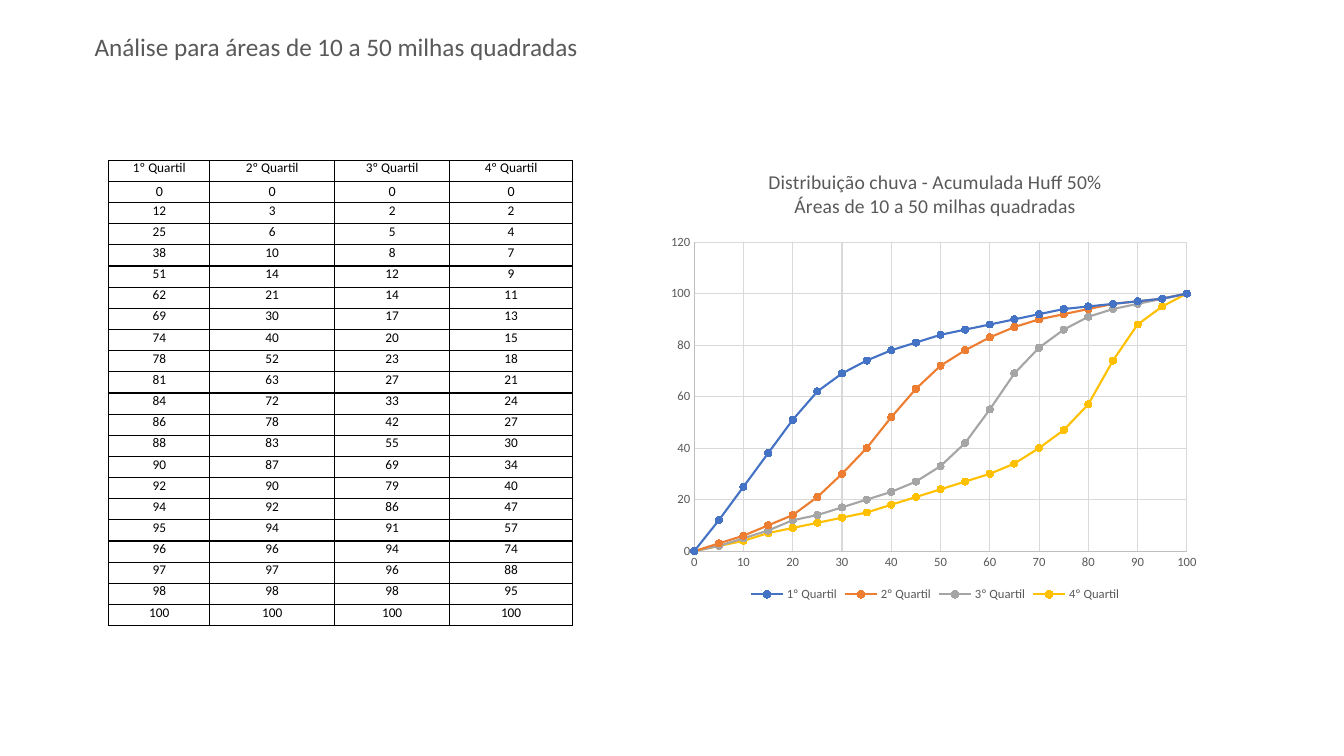
from lxml.etree import SubElement
from pptx import Presentation
from pptx.chart.data import XyChartData
from pptx.dml.color import RGBColor
from pptx.enum.chart import XL_CHART_TYPE, XL_LEGEND_POSITION, XL_MARKER_STYLE, XL_TICK_MARK
from pptx.enum.text import MSO_ANCHOR, MSO_AUTO_SIZE, PP_ALIGN
from pptx.oxml import parse_xml
from pptx.oxml.ns import nsdecls, qn
from pptx.util import Inches, Pt

BLACK = RGBColor(0x00, 0x00, 0x00)
GRAY = RGBColor(0x59, 0x59, 0x59)
GRID = RGBColor(0xD9, 0xD9, 0xD9)
AXIS = RGBColor(0xBF, 0xBF, 0xBF)
BLUE = RGBColor(0x44, 0x72, 0xC4)
ORANGE = RGBColor(0xED, 0x7D, 0x31)
SILVER = RGBColor(0xA5, 0xA5, 0xA5)
GOLD = RGBColor(0xFF, 0xC0, 0x00)

CURVES = [
    ("1º Quartil", BLUE, [0, 12, 25, 38, 51, 62, 69, 74, 78, 81, 84,
                          86, 88, 90, 92, 94, 95, 96, 97, 98, 100]),
    ("2º Quartil", ORANGE, [0, 3, 6, 10, 14, 21, 30, 40, 52, 63, 72,
                            78, 83, 87, 90, 92, 94, 96, 97, 98, 100]),
    ("3º Quartil", SILVER, [0, 2, 5, 8, 12, 14, 17, 20, 23, 27, 33,
                            42, 55, 69, 79, 86, 91, 94, 96, 98, 100]),
    ("4º Quartil", GOLD, [0, 2, 4, 7, 9, 11, 13, 15, 18, 21, 24,
                          27, 30, 34, 40, 47, 57, 74, 88, 95, 100]),
]


class Deck:
    """Holds the type style and the current slide."""

    def __init__(self, slide, face="Calibri"):
        self.slide = slide
        self.face = face

    def style(self, font, size, color):
        font.name, font.size, font.bold = self.face, Pt(size), False
        font.color.rgb = color

    def label(self, para, text, size, color):
        para.alignment = PP_ALIGN.CENTER
        run = para.add_run()
        run.text = text
        self.style(run.font, size, color)

    def text(self, words, left, top, width, height):
        frame = self.slide.shapes.add_textbox(
            Inches(left), Inches(top), Inches(width), Inches(height)).text_frame
        frame.word_wrap = True
        frame.auto_size = MSO_AUTO_SIZE.SHAPE_TO_FIT_TEXT
        self.label(frame.paragraphs[0], words, 18, GRAY)

    def cell(self, cell, words, size, anchor):
        cell.margin_left = cell.margin_right = cell.margin_top = cell.margin_bottom = 0
        cell.vertical_anchor = anchor
        self.label(cell.text_frame.paragraphs[0], words, size, BLACK)
        props = cell._tc.get_or_add_tcPr()
        for side in ("lnL", "lnR", "lnT", "lnB"):
            edge = SubElement(props, qn(f"a:{side}"), w=str(Pt(1)))
            fill = SubElement(edge, qn("a:solidFill"))
            SubElement(fill, qn("a:srgbClr"), val=str(BLACK))
        cell.fill.background()

    def table(self, rows, left, top, widths, height):
        table = self.slide.shapes.add_table(
            len(rows), len(widths), Inches(left), Inches(top),
            Inches(sum(widths)), Inches(height * len(rows))).table
        table.first_row = table.horz_banding = False
        for col, width in zip(table.columns, widths):
            col.width = Inches(width)
        for i, row in enumerate(rows):
            table.rows[i].height = Inches(height)
            size, anchor = (10, MSO_ANCHOR.MIDDLE) if i == 1 else (9.5, MSO_ANCHOR.TOP)
            for j, value in enumerate(row):
                self.cell(table.cell(i, j), str(value), size, anchor)

    def line(self, line, color, width):
        line.color.rgb = color
        line.width = Pt(width)

    def axis(self, axis, top, step):
        axis.minimum_scale, axis.maximum_scale, axis.major_unit = 0, top, step
        axis.major_tick_mark = axis.minor_tick_mark = XL_TICK_MARK.NONE
        axis.has_major_gridlines = True
        self.line(axis.major_gridlines.format.line, GRID, 0.75)
        self.line(axis.format.line, AXIS, 0.75)
        self.style(axis.tick_labels.font, 9, GRAY)

    def chart(self, title, curves, left, top, width, height):
        data = XyChartData()
        for name, _, values in curves:
            series = data.add_series(name)
            for i, value in enumerate(values):
                series.add_data_point(5 * i, value)
        chart = self.slide.shapes.add_chart(
            XL_CHART_TYPE.XY_SCATTER_SMOOTH, Inches(left), Inches(top),
            Inches(width), Inches(height), data).chart
        self.style(chart.font, 10, BLACK)
        chart.has_title = True
        chart.chart_title.include_in_layout = False
        frame = chart.chart_title.text_frame
        for i, words in enumerate(title):
            para = frame.add_paragraph() if i else frame.paragraphs[0]
            self.label(para, words, 14, GRAY)
        chart.has_legend = True
        chart.legend.position = XL_LEGEND_POSITION.BOTTOM
        chart.legend.include_in_layout = False
        self.style(chart.legend.font, 9, GRAY)
        self.axis(chart.category_axis, 100, 10)
        self.axis(chart.value_axis, 120, 20)
        plot = chart.plots[0]
        plot.vary_by_categories = False
        for series, (_, color, _) in zip(plot.series, curves):
            series.smooth = True
            self.line(series.format.line, color, 1.5)
            mark = series.marker
            mark.style, mark.size = XL_MARKER_STYLE.CIRCLE, 5
            mark.format.fill.solid()
            mark.format.fill.fore_color.rgb = color
            self.line(mark.format.line, color, 0.75)
        self.place(chart, x=0.06, y=0.2, w=0.9, h=0.68)

    def place(self, chart, **box):
        area = chart._chartSpace.chart.plotArea
        for old in area.findall(qn("c:layout")):
            area.remove(old)
        sizes = "".join(f'<c:{key} val="{val}"/>' for key, val in box.items())
        area.insert(0, parse_xml(
            f'<c:layout {nsdecls("c")}><c:manualLayout><c:layoutTarget val="inner"/>'
            f'<c:xMode val="edge"/><c:yMode val="edge"/>{sizes}'
            '</c:manualLayout></c:layout>'))


def main():
    show = Presentation()
    show.slide_width, show.slide_height = Inches(13.33), Inches(7.5)
    deck = Deck(show.slides.add_slide(show.slide_layouts[6]))
    names = [name for name, _, _ in CURVES]
    rows = [names, *zip(*(values for _, _, values in CURVES))]
    deck.table(rows, 1.08, 1.59, [1, 1.24, 1.14, 1.22], 0.21)
    deck.chart(["Distribuição chuva - Acumulada Huff 50%",
                "Áreas de 10 a 50 milhas quadradas"], CURVES, 6.56, 1.5, 5.43, 4.51)
    deck.text("Análise para áreas de 10 a 50 milhas quadradas", 0, 0.26, 6.67, 0.4)
    show.save("out.pptx")


if __name__ == "__main__":
    main()
